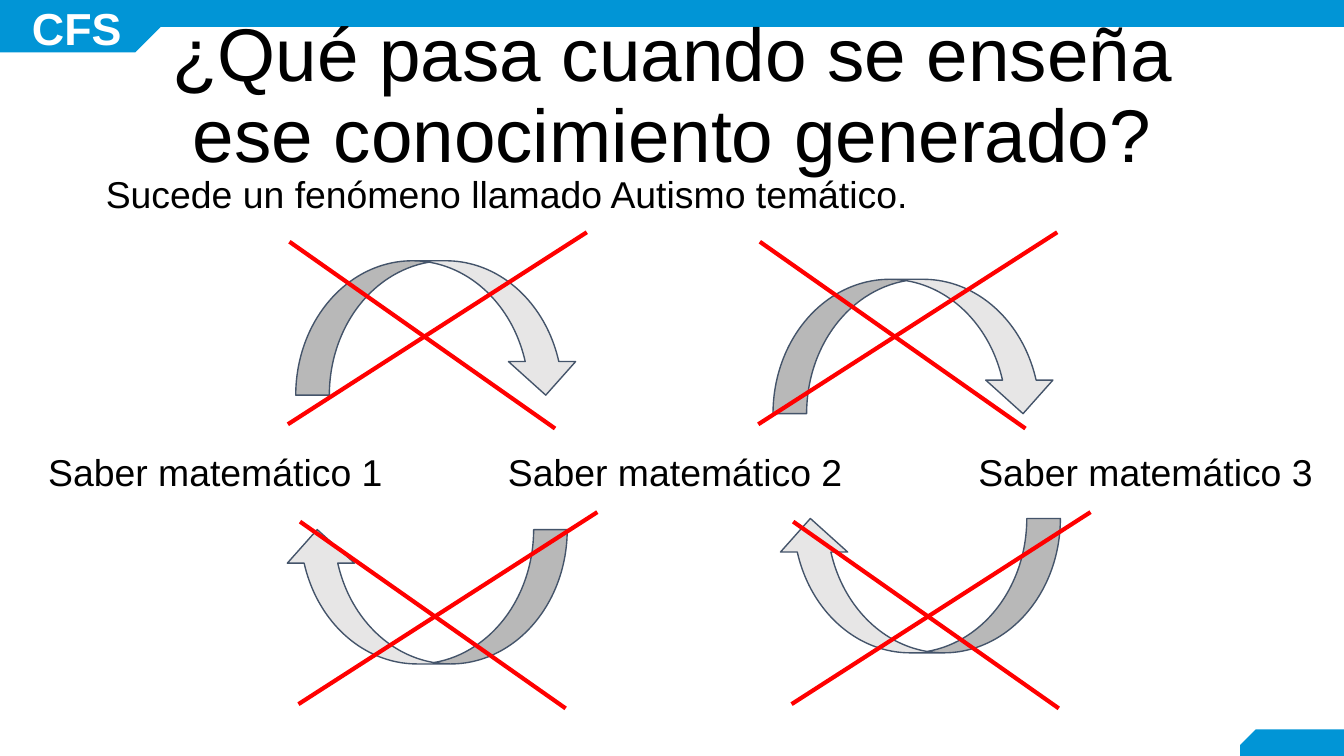
from pptx import Presentation
from pptx.dml.color import RGBColor
from pptx.enum.shapes import MSO_CONNECTOR, MSO_SHAPE
from pptx.enum.text import MSO_ANCHOR, MSO_AUTO_SIZE, PP_ALIGN
from pptx.oxml.ns import qn
from pptx.util import Cm, Pt
from lxml.etree import SubElement

BLUE = RGBColor(0x01, 0x95, 0xD6)
WHITE = RGBColor(0xFF, 0xFF, 0xFF)
BLACK = RGBColor(0, 0, 0)
GREY = RGBColor(0xE7, 0xE6, 0xE6)
SLATE = RGBColor(0x44, 0x54, 0x6A)
RED = RGBColor(0xFF, 0, 0)

# Content; all lengths in cm
TITLE = "¿Qué pasa cuando se enseña ese conocimiento generado?"
TITLE_BOX = (1.75, 0.58, 21.89, 2.54)
BADGE = "CFS"
BADGE_BOX = (0.18, 0.08, 2.54, 0.89)
NOTES = [  # text, left, top, width
    ("Sucede un fenómeno llamado Autismo temático.", 1.75, 3.2, 21.89),
    ("Saber matemático 1", 0.66, 8.46, 7.19),
    ("Saber matemático 2", 9.35, 8.46, 7.39),
    ("Saber matemático 3", 18.24, 8.46, 7.04),
]
BANDS = [  # preset, box, rotation
    (MSO_SHAPE.SNIP_1_RECTANGLE, (23.44, 13.79, 1.96, 0.58), 0),
    (MSO_SHAPE.RECTANGLE, (2.84, 0, 22.56, 0.51), 0),
    (MSO_SHAPE.SNIP_1_RECTANGLE, (0, 0, 3.05, 0.99), 180),
]
ARROWS = [  # left, top, rotation
    (5.59, 4.93, 0),
    (14.61, 5.28, 0),
    (5.36, 10.01, 180),
    (14.68, 9.8, 180),
]
CROSSES = [(5.44, 4.39), (14.33, 4.39), (5.64, 9.68), (14.96, 9.68)]
STROKES = [  # from x, y to x, y inside a cross
    (0.03, 0.18, 5.05, 3.71),
    (0, 3.63, 5.65, 0),
]


def place(box):
    return [Cm(v) for v in box]


def add_form(kind, box, fill, turn=0):
    form = slide.shapes.add_shape(kind, *place(box))
    form.shadow.inherit = False
    form.fill.solid()
    form.fill.fore_color.rgb = fill
    form.rotation = turn
    return form


def write(shape, text, size, color=BLACK, align=PP_ALIGN.LEFT,
          anchor=MSO_ANCHOR.TOP, bold=False, before=0, space=1.0):
    frame = shape.text_frame
    frame.word_wrap = True
    frame.auto_size = MSO_AUTO_SIZE.NONE
    frame.vertical_anchor = anchor
    para = frame.paragraphs[0]
    para.alignment = align
    para.line_spacing = space
    para.space_before = Pt(before)
    run = para.add_run()
    run.text = text
    font = run.font
    font.name, font.size, font.bold = "Arial", Pt(size), bold
    font.color.rgb = color


deck = Presentation()
deck.slide_width, deck.slide_height = Cm(25.4), Cm(14.29)
slide = deck.slides.add_slide(deck.slide_layouts[5])

# Blue bands and badge
for kind, box, turn in BANDS:
    band = add_form(kind, box, BLUE, turn)
    band.line.fill.background()
    if kind == MSO_SHAPE.SNIP_1_RECTANGLE:
        band.adjustments[0] = 0.5
        band.element.spPr.find(qn("a:xfrm")).set("flipH", "1")
badge = slide.shapes.add_textbox(*place(BADGE_BOX))
write(badge, BADGE, 24, WHITE, PP_ALIGN.CENTER, MSO_ANCHOR.MIDDLE, True)

# Title, brought in front of the bands
title = slide.shapes.title
title.left, title.top, title.width, title.height = place(TITLE_BOX)
write(title, TITLE, 40, align=PP_ALIGN.CENTER, anchor=MSO_ANCHOR.MIDDLE,
      space=0.9)
slide.shapes.element.append(title.element)

# Statement and labels
for text, left, top, width in NOTES:
    note = slide.shapes.add_textbox(*place((left, top, width, 1.7)))
    write(note, text, 20, before=10, space=0.9)

# Curved arrows
for left, top, turn in ARROWS:
    arrow = add_form(MSO_SHAPE.CURVED_DOWN_ARROW, (left, top, 5.36, 2.54),
                     GREY, turn)
    for i, value in enumerate((0.25, 0.5, 0.25)):
        arrow.adjustments[i] = value
    arrow.line.color.rgb = SLATE
    arrow.line.width = Pt(0.75)

# Red crosses
for left, top in CROSSES:
    for x1, y1, x2, y2 in STROKES:
        ends = place((left + x1, top + y1, left + x2, top + y2))
        stroke = slide.shapes.add_connector(MSO_CONNECTOR.STRAIGHT, *ends)
        stroke.line.color.rgb = RED
        stroke.line.width = Pt(2.25)
        SubElement(stroke.element.spPr, qn("a:effectLst"))

deck.save("out.pptx")
